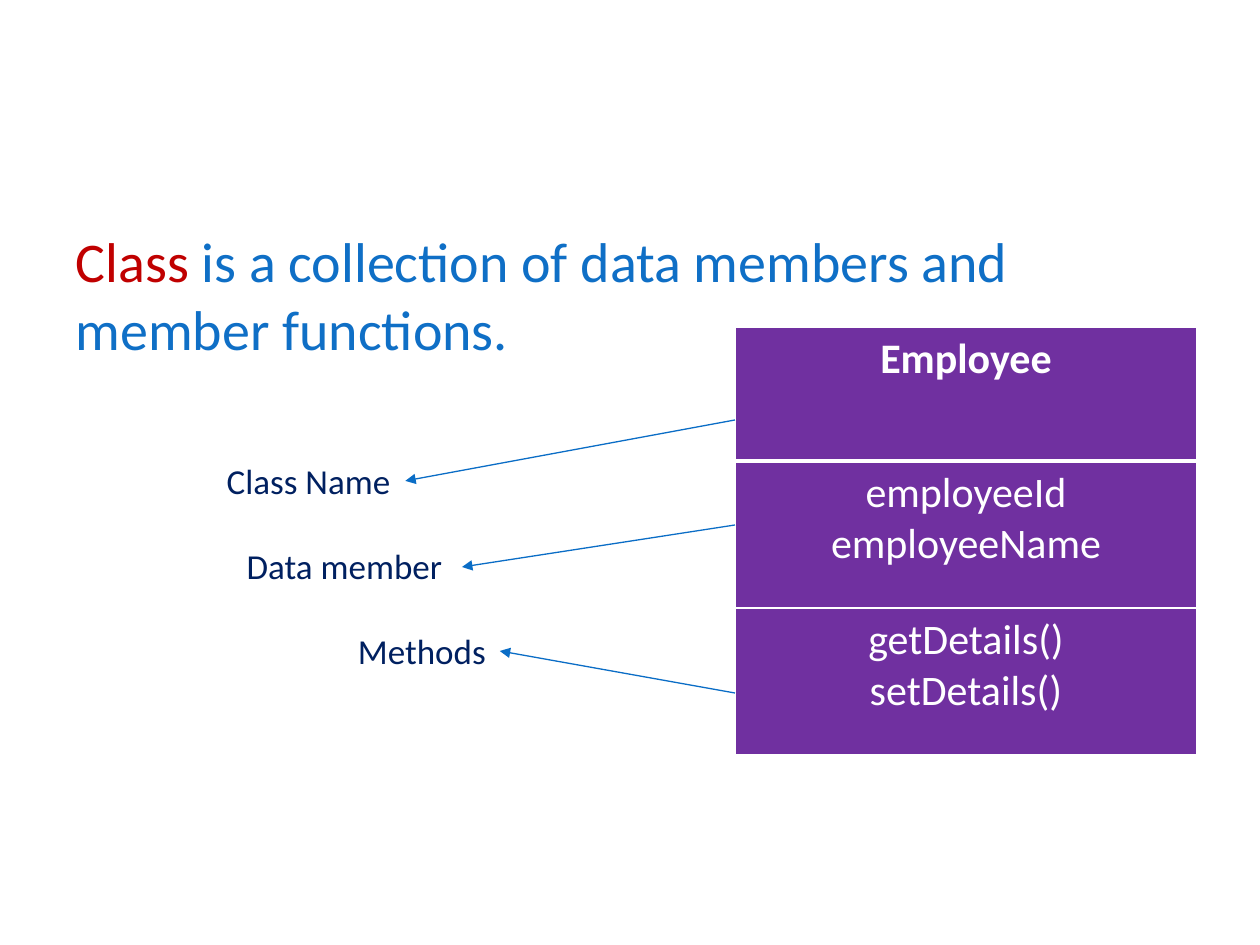
"""Builds a slide that explains a class through the parts of an Employee box."""
from lxml import etree
from pptx import Presentation
from pptx.dml.color import RGBColor
from pptx.enum.shapes import MSO_CONNECTOR
from pptx.enum.text import MSO_AUTO_SIZE, PP_ALIGN
from pptx.oxml import parse_xml
from pptx.oxml.ns import nsdecls, qn
from pptx.util import Inches, Pt

STRAIGHT = MSO_CONNECTOR.STRAIGHT
CENTER = PP_ALIGN.CENTER
GROW = MSO_AUTO_SIZE.SHAPE_TO_FIT_TEXT
RED, BLUE, NAVY, PURPLE, WHITE, ARROW = "C00000", "0F6FC6", "002060", "7030A0", "FFFFFF", "0A6DC6"

presentation = Presentation()
presentation.slide_width, presentation.slide_height = Inches(10), Inches(7.5)
UNIT = presentation.slide_width / 12


def grid(*counts):
    """Turns counts of grid units, 12 across and 9 down, into lengths."""
    return [round(count * UNIT) for count in counts]


def add_run(paragraph, text, size, color, bold=False):
    """Adds one formatted run to a paragraph."""
    run = paragraph.add_run()
    run.text = text
    run.font.name, run.font.size, run.font.bold = "Calibri", Pt(size), bold
    run.font.color.rgb = RGBColor.from_string(color)


slide = presentation.slides.add_slide(presentation.slide_layouts[1])
title = slide.shapes.title.element
title.getparent().remove(title)

definition = slide.placeholders[1]
definition.left, definition.top, definition.width, definition.height = grid(0.6, 2.1, 10.8, 4.6)
paragraph = definition.text_frame.paragraphs[0]
properties = paragraph._p.get_or_add_pPr()
properties.set("marL", "0")
properties.set("indent", "0")
etree.SubElement(properties, qn("a:buNone"))
add_run(paragraph, "Class", 32, RED)
add_run(paragraph, " is a collection of data members and member functions.", 32, BLUE)

sections = [
    (1.27, ["Employee"]),
    (1.4, ["employeeId", "employeeName"]),
    (1.4, ["getDetails()", "setDetails()"]),
]
table_height = sum(height for height, lines in sections)
table = slide.shapes.add_table(len(sections), 1, *grid(7, 3.12, 4.4, table_height)).table
for index, (height, lines) in enumerate(sections):
    table.rows[index].height = grid(height)[0]
    cell = table.cell(index, 0)
    for side in "LRTB":
        weight = 3 if (index, side) in [(0, "B"), (1, "T")] else 1
        cell._tc.get_or_add_tcPr().append(parse_xml(
            f'<a:ln{side} {nsdecls("a")} w="{Pt(weight)}"><a:solidFill>'
            f'<a:srgbClr val="{WHITE}"/></a:solidFill></a:ln{side}>'))
    cell.fill.solid()
    cell.fill.fore_color.rgb = RGBColor.from_string(PURPLE)
    for number, line in enumerate(lines):
        frame = cell.text_frame
        paragraph = frame.add_paragraph() if number else frame.paragraphs[0]
        paragraph.alignment = CENTER
        add_run(paragraph, line, 24, WHITE, bold=index == 0)

labels = [
    ("Class Name", (2.04, 4.32, 1.81, 0.53), (7, 4, 3.86, 4.58)),
    ("Data member", (2.23, 5.13, 2.12, 0.53), (7, 5, 4.4, 5.4)),
    ("Methods", (3.29, 5.94, 1.48, 0.53), (7, 6.6, 4.76, 6.2)),
]
for text, box, ends in labels:
    arrow = slide.shapes.add_connector(STRAIGHT, *grid(*ends))
    arrow.line.width = Pt(0.75)
    arrow.line.color.rgb = RGBColor.from_string(ARROW)
    etree.SubElement(arrow.line._get_or_add_ln(), qn("a:tailEnd"), type="triangle")
    etree.SubElement(arrow._element.spPr, qn("a:effectLst"))
    label = slide.shapes.add_textbox(*grid(*box))
    label.text_frame.word_wrap = False
    label.text_frame.auto_size = GROW
    add_run(label.text_frame.paragraphs[0], text, 20, NAVY)

presentation.save("out.pptx")
